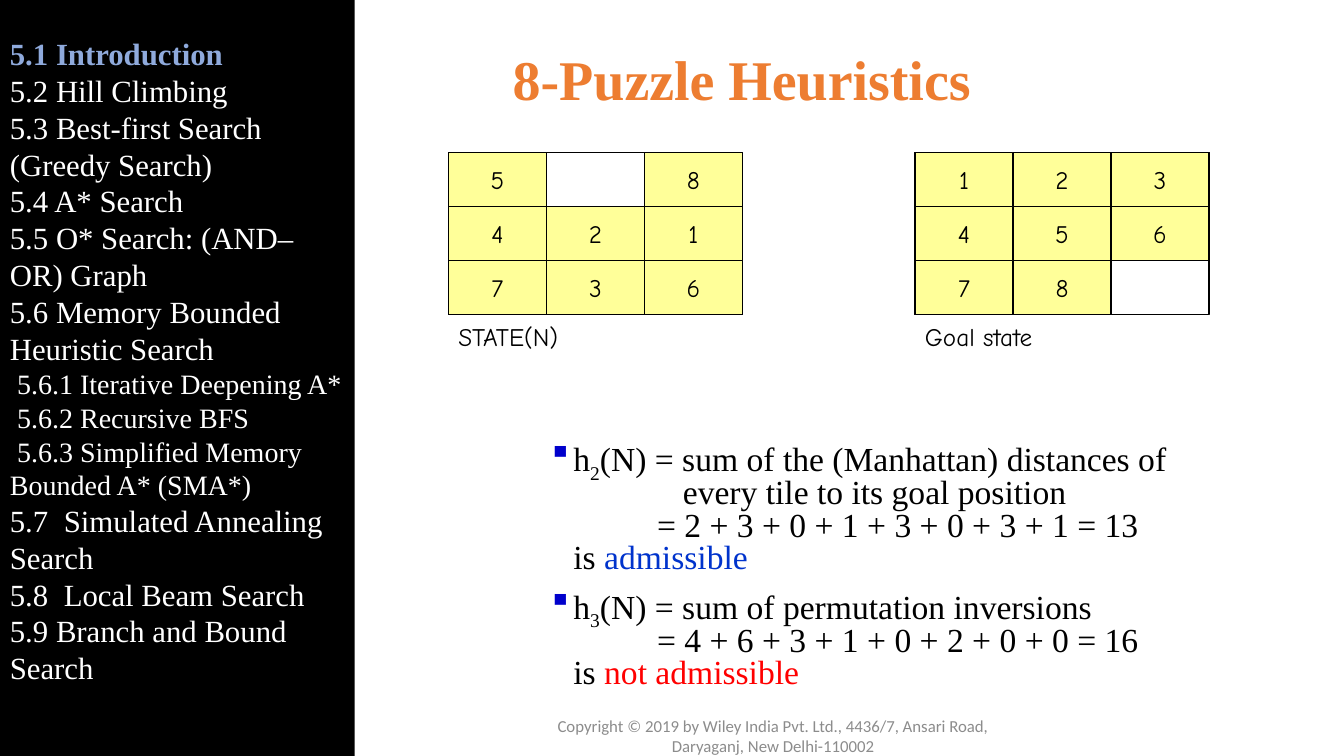
from lxml import etree
from pptx import Presentation
from pptx.dml.color import RGBColor
from pptx.enum.shapes import MSO_SHAPE
from pptx.enum.text import MSO_ANCHOR, PP_ALIGN
from pptx.oxml.ns import qn
from pptx.util import Cm, Pt

RECT = MSO_SHAPE.RECTANGLE
TOP, MIDDLE = MSO_ANCHOR.TOP, MSO_ANCHOR.MIDDLE
LEFT, CENTER = PP_ALIGN.LEFT, PP_ALIGN.CENTER

COLORS = {"black": "000000", "white": "FFFFFF", "current": "8FAADC",
          "title": "ED7D31", "tile": "FFFF99", "bullet": "0000CC",
          "yes": "0033CC", "no": "FF0000", "footer": "8C8C8C"}
SERIF, HAND, SANS = "Times New Roman", "Comic Neue", "Calibri"

# Content
TITLE = "8-Puzzle Heuristics"
FOOTER = ("Copyright © 2019 by Wiley India Pvt. Ltd., 4436/7, Ansari Road, "
          "Daryaganj, New Delhi-110002")
# (level, text)
OUTLINE = [
    (0, "5.1 Introduction"),
    (0, "5.2 Hill Climbing"),
    (0, "5.3 Best-first Search (Greedy Search)"),
    (0, "5.4 A* Search"),
    (0, "5.5 O* Search: (AND–OR) Graph"),
    (0, "5.6 Memory Bounded Heuristic Search"),
    (1, "5.6.1 Iterative Deepening A*"),
    (1, "5.6.2 Recursive BFS"),
    (1, "5.6.3 Simplified Memory Bounded A* (SMA*)"),
    (0, "5.7\tSimulated Annealing Search"),
    (0, "5.8\tLocal Beam Search"),
    (0, "5.9 Branch and Bound Search"),
]
CURRENT = 0
# (left in cm, label, rows of tiles)
PUZZLES = [
    (11.3, "STATE(N)", ["5 8", "421", "736"]),
    (23.06, "Goal state", ["123", "456", "78 "]),
]
# (subscript, definition, verdict, verdict colour)
HEURISTICS = [
    ("2", "(N) = sum of the (Manhattan) distances of\v\t\tevery tile to its goal position"
          "\v\t= 2 + 3 + 0 + 1 + 3 + 0 + 3 + 1 = 13\vis ", "admissible", "yes"),
    ("3", "(N) = sum of permutation inversions"
          "\v\t= 4 + 6 + 3 + 1 + 0 + 2 + 0 + 0 = 16\vis ", "not admissible", "no"),
]

# Layout in cm
GRID_TOP, TILE_W, TILE_H = 3.84, 2.47, 1.36
LABEL_TOP = 7.98
BULLET_INDENT = 0.64
FORMULA_TABS = (2.75, 3.4)
OUTLINE_TAB = 1.36


def rgb(name):
    return RGBColor.from_string(COLORS[name])


def add_run(p, text, color, **fmt):
    """Add text; each vertical tab becomes a line break."""
    for i, line in enumerate(text.split("\v")):
        if i:
            p.add_line_break()
        r = p.add_run()
        r.text = line
        for name, value in fmt.items():
            setattr(r.font, name, value)
        r.font.color.rgb = rgb(color)
    return r


def set_tabs(p, stops):
    tabs = etree.SubElement(p._p.get_or_add_pPr(), qn("a:tabLst"))
    for stop in stops:
        etree.SubElement(tabs, qn("a:tab"), pos=str(Cm(stop)), algn="l")


def add_bullet(p, char):
    pPr = p._p.get_or_add_pPr()
    pPr.set("marL", str(Cm(BULLET_INDENT)))
    pPr.set("indent", str(-Cm(BULLET_INDENT)))
    clr = etree.SubElement(pPr, qn("a:buClr"))
    etree.SubElement(clr, qn("a:srgbClr"), val=COLORS["bullet"])
    etree.SubElement(pPr, qn("a:buChar"), char=char)


def add_box(shapes, box, anchor=TOP):
    tf = shapes.add_textbox(*map(Cm, box)).text_frame
    tf.word_wrap = True
    tf.vertical_anchor = anchor
    return tf


def add_rect(shapes, box, fill=None, line=None):
    s = shapes.add_shape(RECT, *map(Cm, box))
    s.shadow.inherit = False
    if fill:
        s.fill.solid()
        s.fill.fore_color.rgb = rgb(fill)
    else:
        s.fill.background()
    if line:
        s.line.color.rgb = rgb(line)
        s.line.width = Pt(0.75)
    else:
        s.line.fill.background()
    s.text_frame.vertical_anchor = MIDDLE
    s.text_frame.word_wrap = True
    return s


def paragraphs(tf, items):
    """Pair each item with its own paragraph."""
    for i, item in enumerate(items):
        yield (tf.add_paragraph() if i else tf.paragraphs[0]), i, item


prs = Presentation()
prs.slide_width, prs.slide_height = Cm(33.87), Cm(19.05)
slide = prs.slides.add_slide(prs.slide_layouts[6])

# Heuristics
tf = add_box(slide.shapes, (13.56, 11.02, 17.48, 6.6))
body = {"name": SERIF, "size": Pt(24)}
for p, i, (sub, definition, verdict, color) in paragraphs(tf, HEURISTICS):
    p.line_spacing = 0.8
    if i:
        p.space_before = Pt(10)
    add_bullet(p, "▪")
    set_tabs(p, FORMULA_TABS)
    add_run(p, "h", "black", **body)
    r = add_run(p, sub, "black", **body)
    r.font._element.set("baseline", "-25000")
    add_run(p, definition, "black", **body)
    add_run(p, verdict, color, **body)

# Title
tf = add_box(slide.shapes, (12.67, 1.02, 18.87, 1.88), MIDDLE)
add_run(tf.paragraphs[0], TITLE, "title", name=SERIF, size=Pt(40), bold=True)

# Puzzle boards
for left, label, rows in PUZZLES:
    board = slide.shapes.add_group_shape().shapes
    add_rect(board, (left, GRID_TOP, 3 * TILE_W, 3 * TILE_H), line="black")
    for row, tiles in enumerate(rows):
        for col, tile in enumerate(tiles):
            if tile == " ":
                continue
            box = (left + col * TILE_W, GRID_TOP + row * TILE_H, TILE_W, TILE_H)
            p = add_rect(board, box, "tile", "black").text_frame.paragraphs[0]
            p.alignment = CENTER
            add_run(p, tile, "black", name=HAND, size=Pt(18))
    tf = add_box(board, (left, LABEL_TOP, 5.6, 1.17))
    add_run(tf.paragraphs[0], label, "black", name=HAND, size=Pt(18))

# Chapter outline
tf = add_rect(slide.shapes, (0, 0, 8.94, 19.05), "black").text_frame
tf.margin_bottom = Cm(1.02)
for p, i, (level, text) in paragraphs(tf, OUTLINE):
    p.alignment = LEFT
    if level:
        p._p.get_or_add_pPr().set("indent", str(Cm(0.18)))
    if "\t" in text:
        set_tabs(p, [OUTLINE_TAB])
    add_run(p, text, "current" if i == CURRENT else "white", name=SERIF,
            size=Pt(20 if level else 22), bold=i == CURRENT)

# Footer
tf = add_box(slide.shapes, (13.77, 18.03, 11.43, 1.02), MIDDLE)
tf.paragraphs[0].alignment = CENTER
add_run(tf.paragraphs[0], FOOTER, "footer", name=SANS, size=Pt(12))

prs.save("out.pptx")
